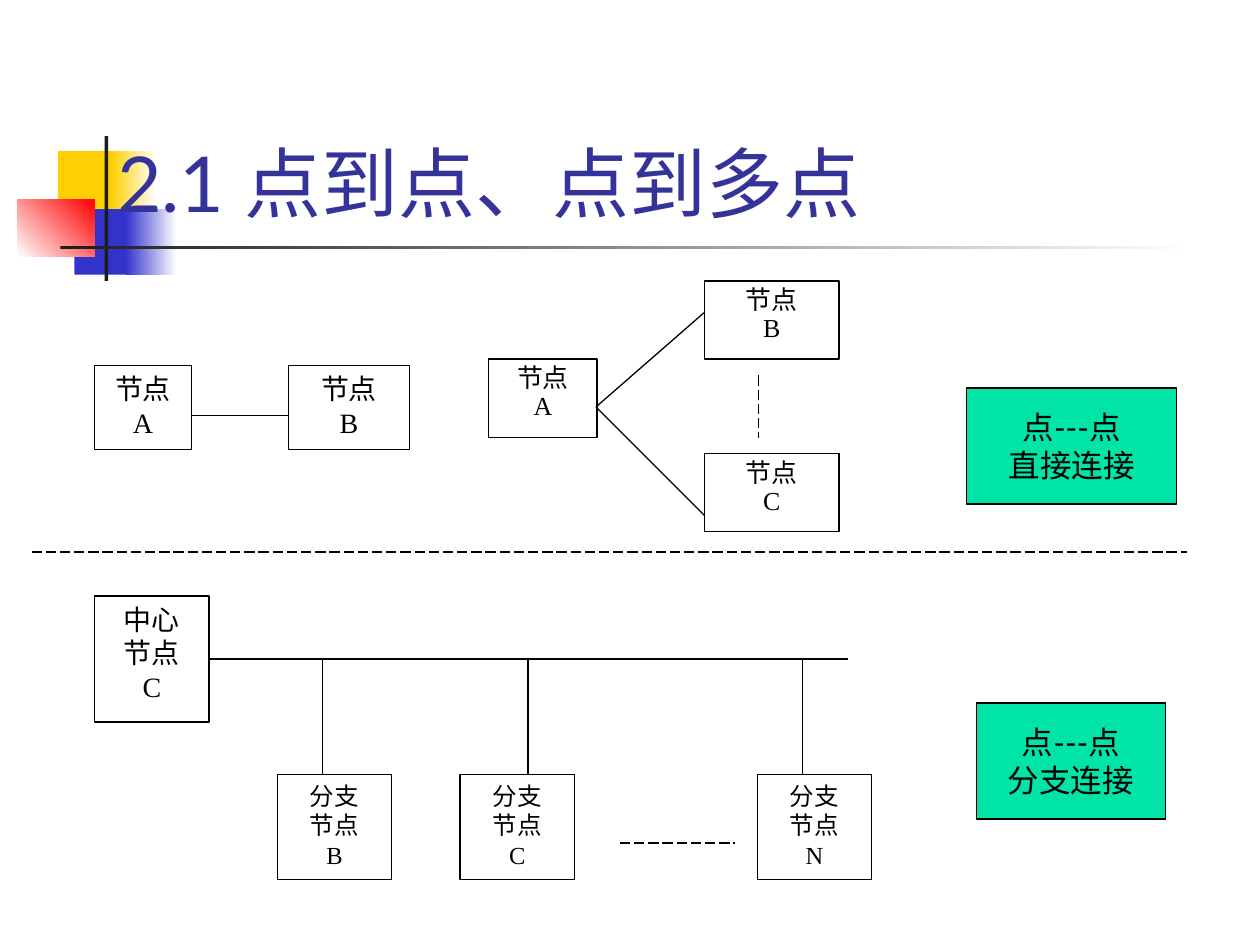
from dataclasses import dataclass
from pptx import Presentation
from pptx import util as u
from pptx.dml.color import RGBColor
from pptx.enum import dml, shapes, text
from pptx.oxml import xmlchemy as xml
from pptx.util import Inches


@dataclass(frozen=True)
class Theme:
    ink: str = "000000"
    paper: str = "FFFFFF"
    title: str = "333399"
    green: str = "00E4A8"
    gold: str = "FFCF01"
    blue: str = "3333CC"
    red: str = "FF0000"
    dark: str = "1C1C1C"
    sans: str = "Lato"
    serif: str = "Times New Roman"
    head: float = 44
    note: float = 18
    node: float = 16
    fork: float = 14.8
    leaf: float = 14
    rule: float = 0.75


T = Theme()


def assign(item, values):
    for name, value in values.items():
        setattr(item, name, value)


def color(code):
    return RGBColor.from_string(code)


def write(frame, words, face, size, tint, **form):
    frame.text = words
    for para in frame.paragraphs:
        assign(para, form)
        for run in para.runs:
            assign(run.font, {"name": face, "size": u.Pt(size)})
            run.font.color.rgb = color(tint)


def rect(page, place, fill, end=None, angle=0):
    shape = page.shapes.add_shape(
        shapes.MSO_SHAPE.RECTANGLE, *map(Inches, place))
    shape.shadow.inherit = False
    shape.line.fill.background()
    if end:
        shape.fill.gradient()
        shape.fill.gradient_angle = angle
        for stop, code in zip(shape.fill.gradient_stops, (fill, end)):
            stop.color.rgb = color(code)
        for stop, spot in zip(shape.fill.gradient_stops, (0, 1)):
            stop.position = spot
    else:
        shape.fill.solid()
        shape.fill.fore_color.rgb = color(fill)
    return shape


def box(page, place, words, size, fill=T.paper, face=T.serif,
        anchor=text.MSO_ANCHOR.TOP, wrap=True, **form):
    shape = rect(page, place, fill)
    shape.line.color.rgb = color(T.ink)
    shape.line.width = u.Pt(T.rule)
    assign(shape.text_frame, {"vertical_anchor": anchor, "word_wrap": wrap})
    write(shape.text_frame, words, face, size, T.ink,
          alignment=text.PP_ALIGN.CENTER, **form)
    return shape


def link(page, start, stop, dash=False):
    line = page.shapes.add_connector(
        shapes.MSO_CONNECTOR.STRAIGHT, *map(Inches, start + stop))
    line.line.color.rgb = color(T.ink)
    line.line.width = u.Pt(T.rule)
    if dash:
        line.line.dash_style = dml.MSO_LINE.LONG_DASH
    props = line._element.spPr
    props.append(xml.OxmlElement("a:effectLst"))
    return line


def badge(page):
    rect(page, (0.46, 1.2, 0.48, 0.52), T.gold)
    rect(page, (0.88, 1.2, 0.36, 0.52), T.gold, T.paper)
    rect(page, (0.59, 1.66, 0.46, 0.52), T.blue)
    rect(page, (1, 1.66, 0.4, 0.52), T.blue, T.paper)
    rect(page, (0.14, 1.58, 0.61, 0.46), T.paper, T.red, 45)
    rect(page, (0.83, 1.08, 0.03, 1.15), T.dark)
    rect(page, (0.48, 1.95, 9, 0.03), T.dark, T.paper)


def heading(page):
    title = page.shapes.title
    assign(title, dict(zip(("left", "top", "width", "height"),
                           map(Inches, (0.83, 0.26, 8.52, 1.6)))))
    assign(title.text_frame, {"vertical_anchor": text.MSO_ANCHOR.BOTTOM,
                              "auto_size": text.MSO_AUTO_SIZE.NONE,
                              "word_wrap": True})
    write(title.text_frame, "2.1 点到点、点到多点", T.sans, T.head, T.title,
          alignment=text.PP_ALIGN.LEFT)


def pair(page):
    for left, wide, name in ((0.75, 0.77, "A"), (2.29, 0.96, "B")):
        box(page, (left, 2.9, wide, 0.67), f"节点\n{name}", T.node)
    link(page, (1.52, 3.3), (2.29, 3.3))


def fork(page):
    for left, top, wide, name in ((3.88, 2.85, 0.86, "A"),
                                  (5.59, 2.23, 1.07, "B"),
                                  (5.59, 3.6, 1.07, "C")):
        box(page, (left, top, wide, 0.62), f"节点\n{name}", T.fork,
            line_spacing=0.9)
    for end in (2.48, 4.09):
        link(page, (4.73, 3.23), (5.59, end))
    link(page, (6.02, 2.98), (6.02, 3.48), dash=True)


def tree(page):
    hub = box(page, (0.75, 4.73, 0.91, 1), "中心\n节点\nC", T.node)
    link(page, (1.66, 5.23), (6.73, 5.23)).begin_connect(hub, 3)
    for left, drop, words in ((2.2, 2.56, "分支\n节点\vB"),
                              (3.65, 4.19, "分支\n节点\nC"),
                              (6.01, 6.37, "分支\n节点\nN")):
        box(page, (left, 6.15, 0.91, 0.83), words, T.leaf)
        link(page, (drop, 5.23), (drop, 6.15))
    link(page, (4.92, 6.69), (5.83, 6.69), dash=True)


def notes(page):
    for left, top, wide, kind in ((7.67, 3.08, 1.67, "直接"),
                                  (7.75, 5.58, 1.5, "分支")):
        box(page, (left, top, wide, 0.92), f"点---点\n{kind}连接", T.note,
            T.green, T.sans, text.MSO_ANCHOR.MIDDLE, False)


def main():
    deck = Presentation()
    assign(deck, {"slide_width": Inches(10), "slide_height": Inches(7.5)})
    page = deck.slides.add_slide(deck.slide_layouts[5])
    badge(page)
    pair(page)
    fork(page)
    link(page, (0.25, 4.38), (9.42, 4.38), dash=True)
    notes(page)
    tree(page)
    heading(page)
    title = page.shapes.title._element
    title.getparent().append(title)
    deck.save("out.pptx")


if __name__ == "__main__":
    main()
